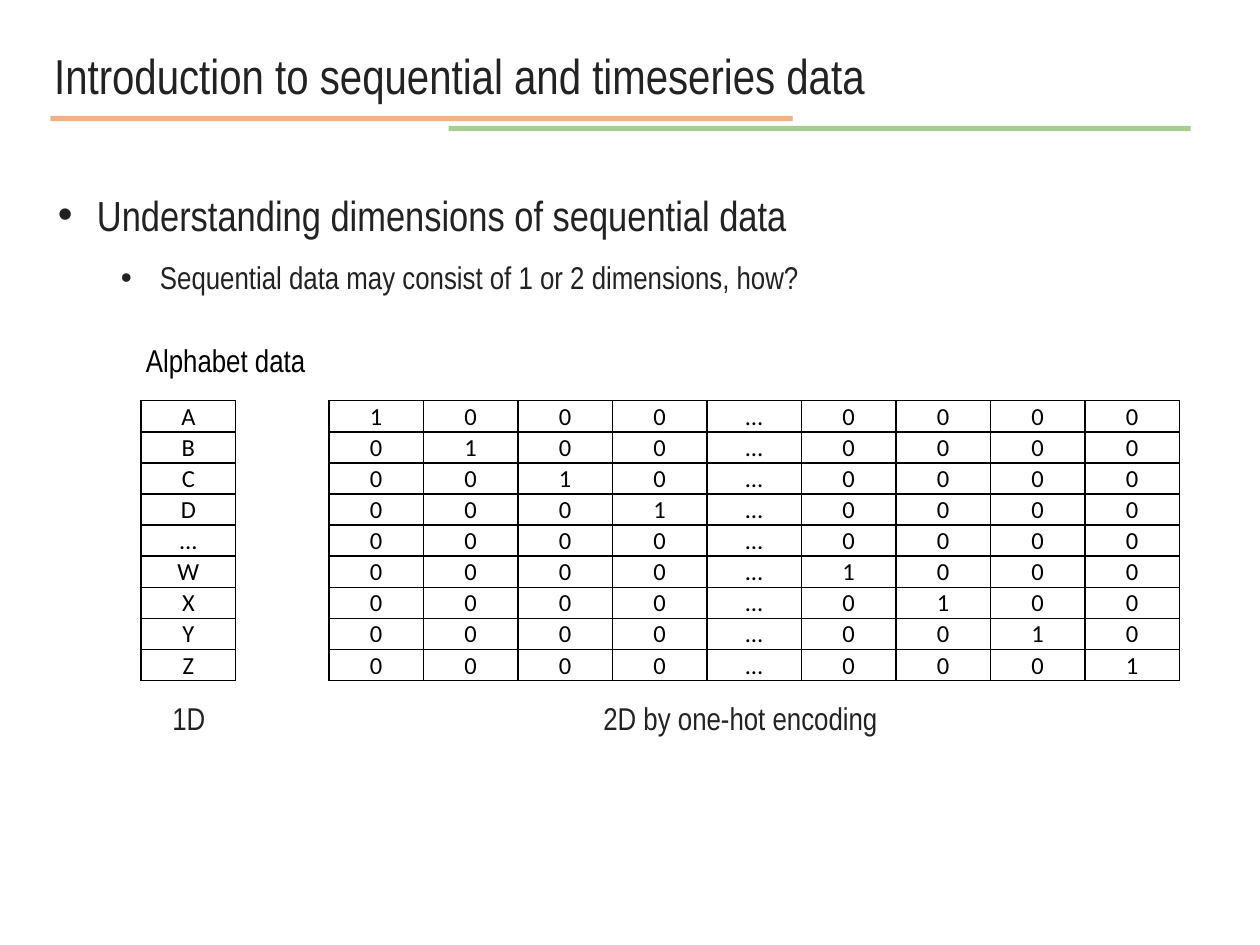
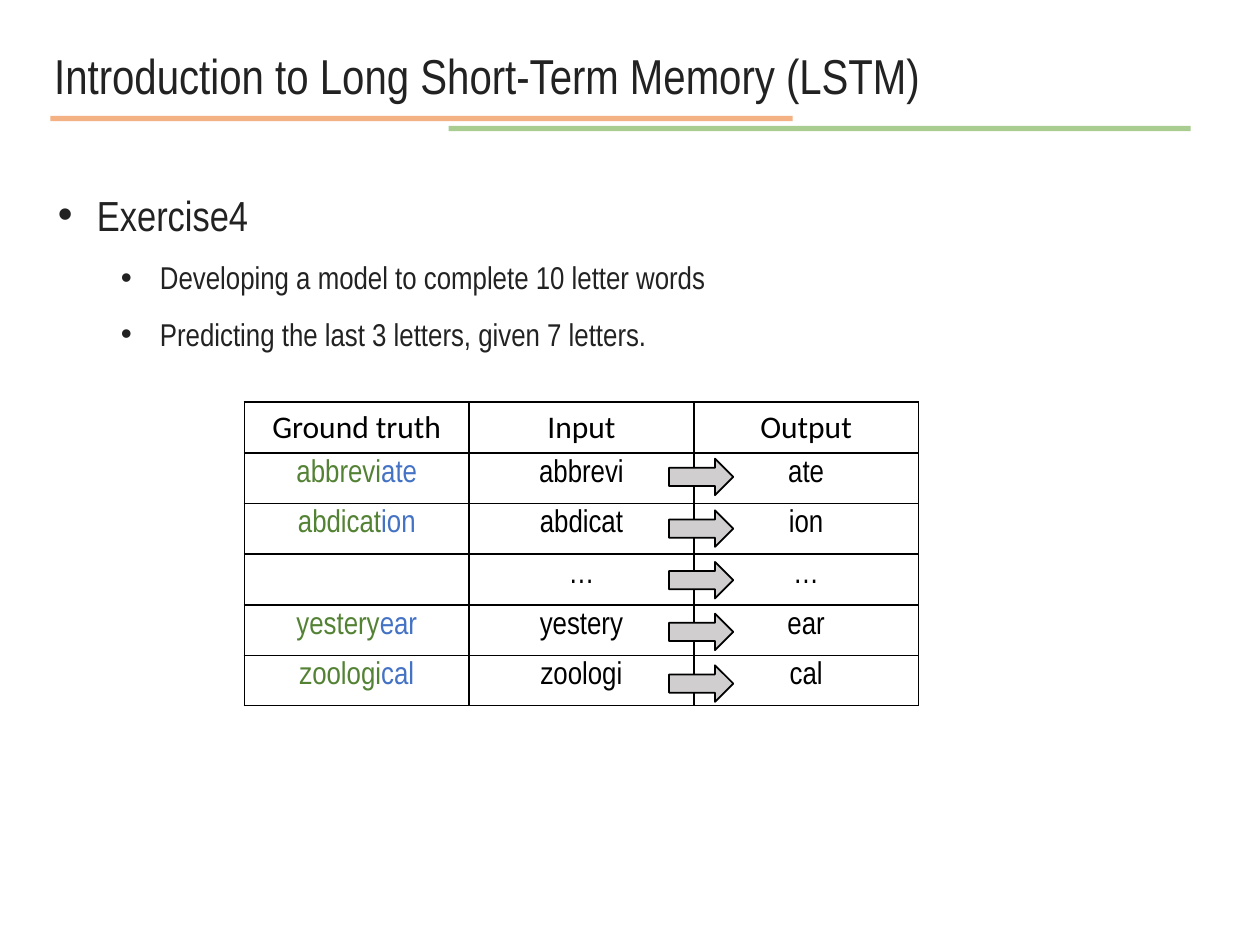
from lxml.etree import SubElement as Sub
from pptx import Presentation
from pptx.dml.color import RGBColor as RGB
from pptx.enum.shapes import MSO_CONNECTOR as Line, MSO_SHAPE as Shape
from pptx.enum.text import MSO_ANCHOR as Anchor, MSO_AUTO_SIZE as Auto, PP_ALIGN as Align
from pptx.oxml.ns import qn
from pptx.util import Inches, Pt

# Content
DATA = {
    "title": "Introduction to sequential and timeseries data",
    "items": [(0, "Understanding dimensions of sequential data"),
              (1, "Sequential data may consist of 1 or 2 dimensions, how?")],
    "body": (0.36, 1.25, 9.56, 1.1),
}
LSTM = {
    "title": "Introduction to Long Short-Term Memory (LSTM)",
    "items": [(0, "Exercise4"),
              (1, "Developing a model to complete 10 letter words"),
              (1, "Predicting the last 3 letters, given 7 letters.")],
    "body": (0.36, 1.25, 9.45, 1.56),
}
KEYS = ["A", "B", "C", "D", "…", "W", "X", "Y", "Z"]
HEADS = ["Ground truth", "Input", "Output"]
WORDS = [("abbrevi", "ate"), ("abdicat", "ion"), ("…", "…"),
         ("yestery", "ear"), ("zoologi", "cal")]

# Shared style
INK = RGB(0x22, 0x22, 0x22)
BLACK = RGB(0, 0, 0)
ORANGE = RGB(0xED, 0x7D, 0x31)
LIME = RGB(0x70, 0xAD, 0x47)
GREEN = RGB(0x54, 0x82, 0x35)
BLUE = RGB(0x44, 0x72, 0xC4)
GREY = RGB(0xD0, 0xCE, 0xCE)
NARROW, SANS = "Arial Narrow", "Calibri"
RULES = [(0.4, 0.94, ORANGE), (3.56, 1.02, LIME)]
RULE_W = 5.89
LEVELS = [(24, 0.31), (18, 0.81)]  # size, indent


def style(run, size, color=INK, name=NARROW):
    run.font.size, run.font.name = Pt(size), name
    run.font.color.rgb = color


def place(shape, box):
    shape.left, shape.top, shape.width, shape.height = map(Inches, box)
    frame = shape.text_frame
    frame.auto_size, frame.vertical_anchor = Auto.NONE, Anchor.TOP
    return frame


def bullet(para, indent):
    props = para._p.get_or_add_pPr()
    props.set("marL", str(Inches(indent)))
    props.set("indent", str(-Inches(0.31)))
    Sub(props, qn("a:buFont"), typeface="Arial")
    Sub(props, qn("a:buChar"), char="•")


def rule(slide, x, y, color):
    line = slide.shapes.add_connector(
        Line.STRAIGHT, Inches(x), Inches(y), Inches(x + RULE_W), Inches(y))
    line.line.width = Pt(3)
    line.line.color.rgb = color
    props = line._element.spPr
    tint = next(props.iter(qn("a:srgbClr")))
    Sub(tint, qn("a:alpha"), val="60000")
    Sub(props, qn("a:effectLst"))


def add_page(deck, page):
    slide = deck.slides.add_slide(deck.slide_layouts[1])
    for x, y, color in RULES:
        rule(slide, x, y, color)

    # Title
    frame = place(slide.shapes.title, (0.33, 0.08, 9.34, 0.72))
    frame.text = page["title"]
    para = frame.paragraphs[0]
    para.alignment, para.line_spacing = Align.LEFT, 1.5
    style(para.runs[0], 28)

    # Bulleted list
    frame = place(slide.placeholders[1], page["body"])
    frame.text = "\n".join(text for _, text in page["items"])
    for para, (level, _) in zip(frame.paragraphs, page["items"]):
        size, indent = LEVELS[level]
        para.level, para.line_spacing, para.space_before = level, 1.5, Pt(0)
        bullet(para, indent)
        style(para.runs[0], size)
    return slide


def label(slide, text, box, color=INK):
    frame = place(slide.shapes.add_textbox(0, 0, 0, 0), box)
    frame.word_wrap = True
    frame.text = text
    style(frame.paragraphs[0].runs[0], 18, color)


def border(cell):
    props = cell._tc.get_or_add_tcPr()
    for side in ("lnL", "lnR", "lnT", "lnB"):
        line = Sub(props, qn("a:" + side), w=str(Pt(1)))
        fill = Sub(line, qn("a:solidFill"))
        Sub(fill, qn("a:srgbClr"), val=str(BLACK))


def add_grid(slide, rows, box):
    """Each cell is a list of (text, size, color, font) runs."""
    table = slide.shapes.add_table(
        len(rows), len(rows[0]), *map(Inches, box)).table
    table.first_row = table.horz_banding = False
    for r, row in enumerate(rows):
        for c, runs in enumerate(row):
            cell = table.cell(r, c)
            border(cell)
            cell.fill.background()
            para = cell.text_frame.paragraphs[0]
            para.alignment = Align.CENTER
            for text, *look in runs:
                run = para.add_run()
                run.text = text
                style(run, *look)
    return table


def add_codes(slide, rows, box):
    look = (14, BLACK, SANS)
    table = add_grid(slide, [[[(text, *look)] for text in row] for row in rows], box)
    for cell in table.iter_cells():
        cell.vertical_anchor = Anchor.MIDDLE
        cell.margin_left = cell.margin_right = cell.margin_top = Inches(0.01)
        cell.margin_bottom = 0


def code(row, col):
    if KEYS[col] == "…":
        return "…"
    return "1" if row == col else "0"


def data_page(deck):
    slide = add_page(deck, DATA)
    span = range(len(KEYS))
    add_codes(slide, [[key] for key in KEYS], (1.12, 3.18, 0.75, 2.19))
    add_codes(slide, [[code(r, c) for c in span] for r in span],
              (2.61, 3.18, 6.75, 2.19))
    label(slide, "Alphabet data", (1.06, 2.66, 5, 0.4), BLACK)
    label(slide, "1D", (1.27, 5.5, 0.6, 0.4))
    label(slide, "2D by one-hot encoding", (4.69, 5.5, 2.59, 0.4))


def lstm_page(deck):
    slide = add_page(deck, LSTM)

    # Word table
    rows = [[[(head, 18, BLACK, SANS)] for head in HEADS]]
    for start, end in WORDS:
        truth = [(start, 18, GREEN), (end, 18, BLUE)] if start != "…" else []
        rows.append([truth, [(start, 18, BLACK)], [(end, 18, BLACK)]])
    add_grid(slide, rows, (1.94, 3.19, 5.35, 2.4))

    # Arrows from input to output
    for i in range(len(WORDS)):
        arrow = slide.shapes.add_shape(
            Shape.RIGHT_ARROW, Inches(5.31), Inches(3.64 + 0.41 * i),
            Inches(0.51), Inches(0.29))
        arrow.shadow.inherit = False
        arrow.fill.solid()
        arrow.fill.fore_color.rgb = GREY
        arrow.line.color.rgb = BLACK
        arrow.line.width = Pt(1)


def main():
    deck = Presentation()
    deck.slide_width, deck.slide_height = Inches(10), Inches(7.5)
    data_page(deck)
    lstm_page(deck)
    deck.save("out.pptx")


if __name__ == "__main__":
    main()
